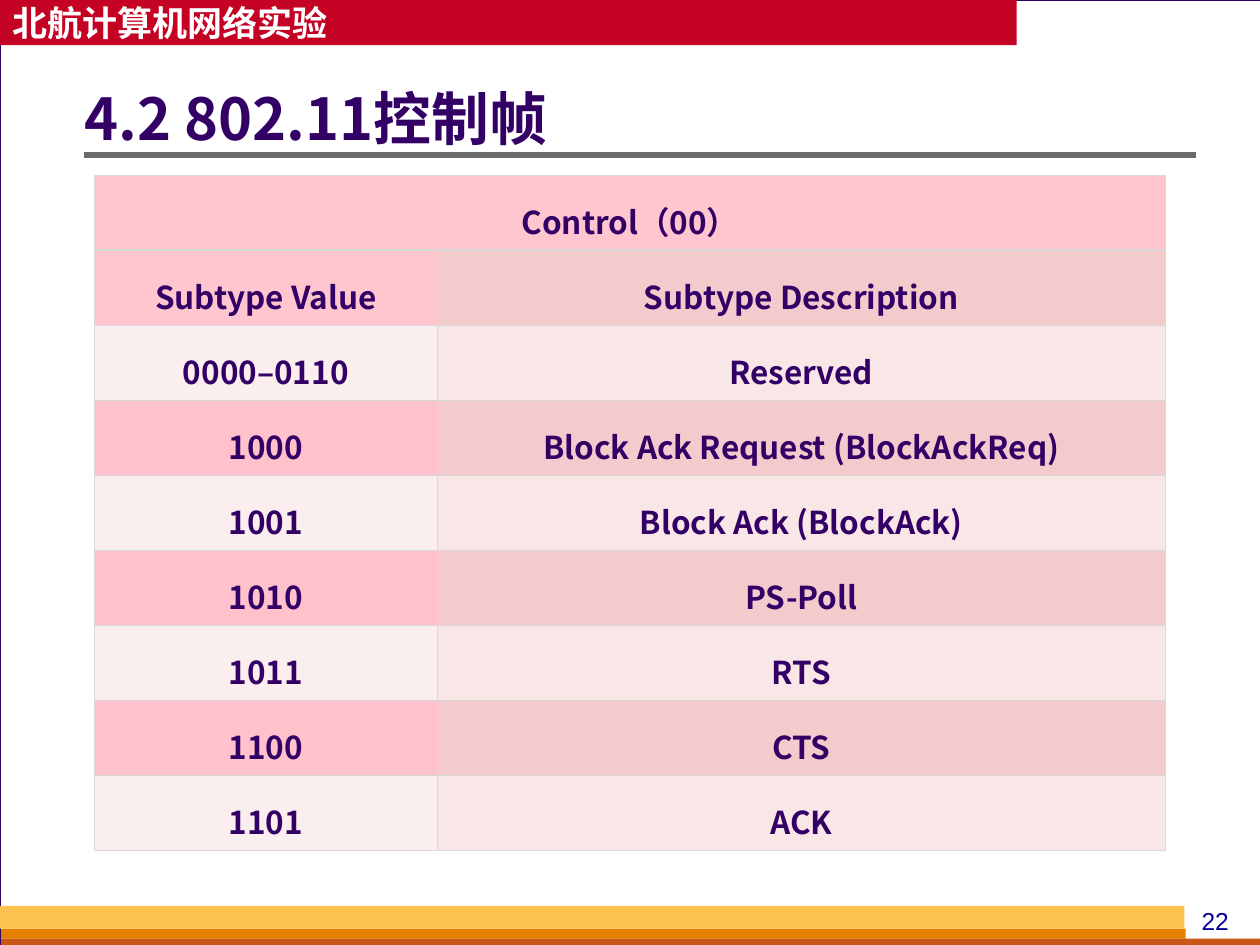
from dataclasses import dataclass

from lxml.etree import SubElement
from pptx import Presentation
from pptx.dml.color import RGBColor
from pptx.enum.shapes import MSO_CONNECTOR, MSO_SHAPE
from pptx.enum.text import MSO_ANCHOR as ANCHOR, PP_ALIGN as ALIGN
from pptx.oxml.ns import qn
from pptx.util import Inches, Pt

CJK = "Noto Sans CJK SC"
PURPLE, RULE_GREY, BORDER = "330066", "6B6B6B", "D8DADA"


@dataclass
class Bar:
    x: float
    y: float
    w: float
    h: float
    fill: str
    line: str = ""


FRAME = Bar(0, 0, 10.01, 7.5, "FFFFFF", PURPLE)
HEADER = Bar(0, 0, 8.07, 0.36, "C30224")
FOOTER = [
    Bar(0.01, 7.37, 9.4, 0.08, "E88000"),
    Bar(0.01, 7.45, 10, 0.08, "C95616"),
    Bar(0, 7.19, 9.4, 0.18, "FCC24F"),
]

ROWS = [
    ("Control（00）", ""),
    ("Subtype Value", "Subtype Description"),
    ("0000–0110", "Reserved"),
    ("1000", "Block Ack Request (BlockAckReq)"),
    ("1001", "Block Ack (BlockAck)"),
    ("1010", "PS-Poll"),
    ("1011", "RTS"),
    ("1100", "CTS"),
    ("1101", "ACK"),
]
COL_WIDTHS = (2.72, 5.78)
TABLE_HEIGHT = 5.36
HEAD_FILLS = ("FFC6D0", "F3CBCD")
BAND_FILLS = (("FBEEEE", "F9E7E8"), ("FFC1CC", "F3CBCD"))


def rgb(color: str) -> RGBColor:
    return RGBColor.from_string(color)


def add_bar(s, bar: Bar):
    sp = s.shapes.add_shape(MSO_SHAPE.RECTANGLE, Inches(bar.x), Inches(bar.y),
                            Inches(bar.w), Inches(bar.h))
    sp.shadow.inherit = False
    sp.fill.solid()
    sp.fill.fore_color.rgb = rgb(bar.fill)
    if bar.line:
        sp.line.color.rgb = rgb(bar.line)
        sp.line.width = Pt(0.75)
    else:
        sp.line.fill.background()
    return sp


def write(tf, text: str, *, size: float, color: str = PURPLE, font: str = CJK,
          bold: bool = True, align=ALIGN.LEFT, spacing=None, before=None) -> None:
    p = tf.paragraphs[0]
    p.alignment = align
    if spacing:
        p.line_spacing = spacing
    if before:
        p.space_before = Pt(before)
    r = p.add_run()
    r.text = text
    r.font.size, r.font.bold, r.font.name = Pt(size), bold, font
    r.font.color.rgb = rgb(color)
    SubElement(r.font._element, qn("a:ea"), typeface=font)


def add_text(s, x: float, y: float, w: float, h: float, text: str, *,
             anchor=ANCHOR.TOP, left: float = 0.1, **fmt) -> None:
    tf = s.shapes.add_textbox(Inches(x), Inches(y), Inches(w), Inches(h)).text_frame
    tf.word_wrap = True
    tf.vertical_anchor = anchor
    tf.margin_left = Inches(left)
    write(tf, text, **fmt)


def add_rule(s, x1: float, x2: float, y: float) -> None:
    line = s.shapes.add_connector(MSO_CONNECTOR.STRAIGHT, Inches(x1), Inches(y),
                                  Inches(x2), Inches(y))
    line.line.color.rgb = rgb(RULE_GREY)
    line.line.width = Pt(3)
    SubElement(line._element.spPr, qn("a:effectLst"))


def style_cell(cell, fill: str, top: float, bottom: float) -> None:
    tc_pr = cell._tc.get_or_add_tcPr()
    for side, width in (("L", 0.45), ("R", 0.45), ("T", top), ("B", bottom)):
        ln = SubElement(tc_pr, qn(f"a:ln{side}"), w=str(Pt(width)))
        SubElement(SubElement(ln, qn("a:solidFill")), qn("a:srgbClr"), val=BORDER)
    cell.fill.solid()
    cell.fill.fore_color.rgb = rgb(fill)
    cell.margin_left = cell.margin_right = Inches(0.07)
    cell.margin_top = cell.margin_bottom = Inches(0.05)
    cell.vertical_anchor = ANCHOR.BOTTOM


def add_subtype_table(s, x: float, y: float) -> None:
    table = s.shapes.add_table(len(ROWS), len(COL_WIDTHS), Inches(x), Inches(y),
                               Inches(sum(COL_WIDTHS)), Inches(TABLE_HEIGHT)).table
    for col, width in zip(table.columns, COL_WIDTHS):
        col.width = Inches(width)
    table.cell(0, 0).merge(table.cell(0, 1))
    for i, texts in enumerate(ROWS):
        table.rows[i].height = Inches(TABLE_HEIGHT / len(ROWS))
        fills = HEAD_FILLS if i < 2 else BAND_FILLS[i % 2]
        # A heavier border separates the merged heading from the column heads
        top, bottom = 1.47 if i == 1 else 0.45, 1.47 if i == 0 else 0.45
        for j, text in enumerate(texts):
            cell = table.cell(i, j)
            style_cell(cell, fills[j], top, bottom)
            if text:
                write(cell.text_frame, text, size=18, align=ALIGN.CENTER)


def main() -> None:
    prs = Presentation()
    prs.slide_width, prs.slide_height = Inches(10), Inches(7.5)
    s = prs.slides.add_slide(prs.slide_layouts[6])
    s.background.fill.solid()
    s.background.fill.fore_color.rgb = rgb(BORDER)

    # Frame and course header
    add_bar(s, FRAME)
    tf = add_bar(s, HEADER).text_frame
    tf.word_wrap = False
    tf.vertical_anchor = ANCHOR.MIDDLE
    write(tf, "北航计算机网络实验", size=20, color="FFFFFF")

    # Footer stripes and page number
    for bar in FOOTER:
        add_bar(s, bar)
    add_text(s, 9.33, 7.14, 0.63, 0.34, "22", size=14, color="000099",
             font="Arial", bold=False, align=ALIGN.CENTER, before=8.8)

    # Title with its rule
    add_rule(s, 0.67, 9.49, 1.23)
    add_text(s, 0.67, 0.46, 8.82, 1.01, "4.2 802.11控制帧", size=33,
             anchor=ANCHOR.MIDDLE, left=0, spacing=0.9)

    # Control frame subtypes
    add_subtype_table(s, 0.75, 1.39)

    prs.save("out.pptx")


if __name__ == "__main__":
    main()
